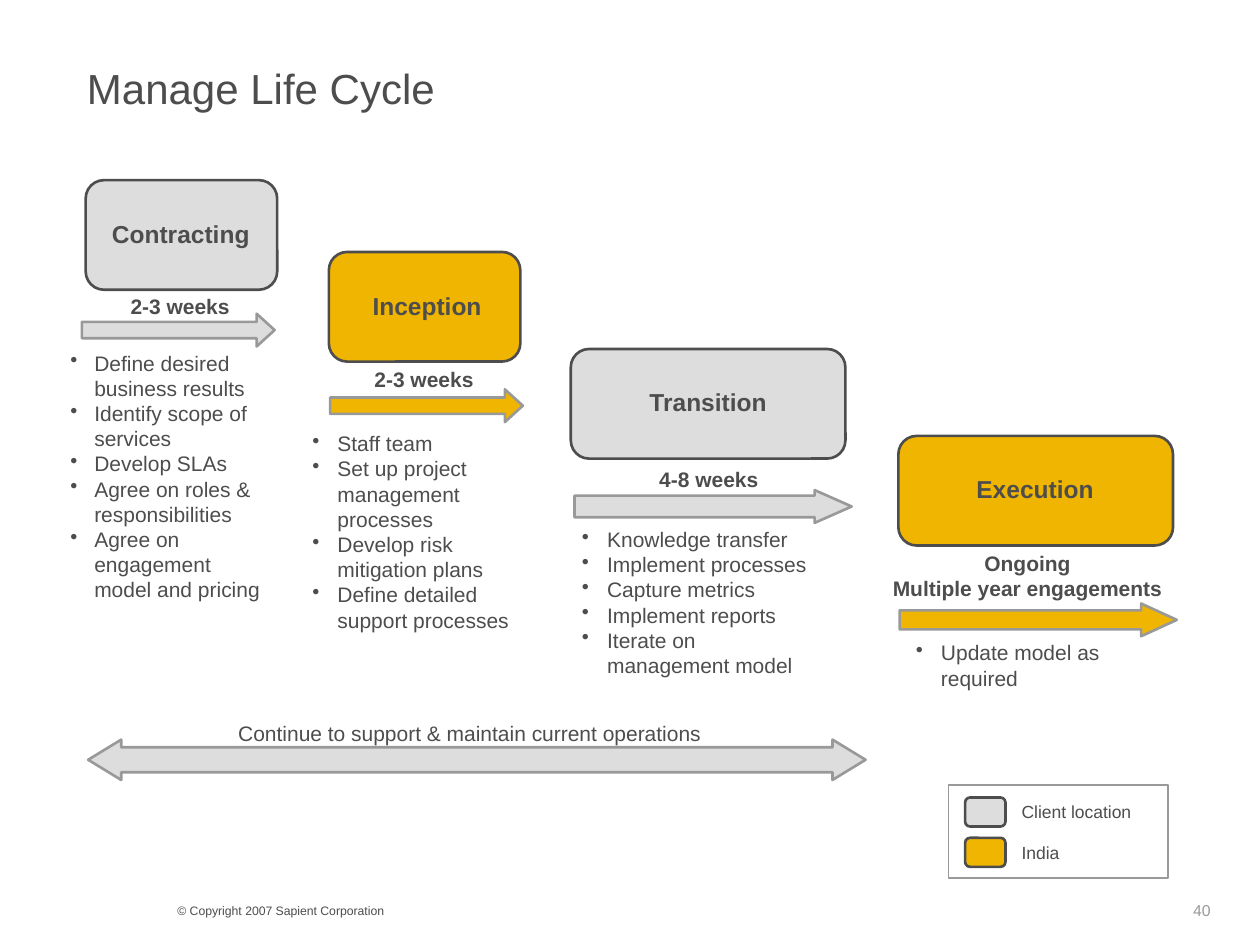
from lxml import etree
from pptx import Presentation
from pptx.dml.color import RGBColor
from pptx.enum.shapes import MSO_SHAPE
from pptx.enum.text import MSO_ANCHOR, MSO_AUTO_SIZE, PP_ALIGN
from pptx.oxml.ns import qn
from pptx.util import Inches, Pt

LEFT, CENTER = PP_ALIGN.LEFT, PP_ALIGN.CENTER
TOP, MIDDLE = MSO_ANCHOR.TOP, MSO_ANCHOR.MIDDLE
FIT_TEXT = MSO_AUTO_SIZE.SHAPE_TO_FIT_TEXT
ROUNDED, RECTANGLE = MSO_SHAPE.ROUNDED_RECTANGLE, MSO_SHAPE.RECTANGLE
RIGHT_ARROW, DOUBLE_ARROW = MSO_SHAPE.RIGHT_ARROW, MSO_SHAPE.LEFT_RIGHT_ARROW

FONT = "Arial"
INK, EDGE = "4D4D4D", "999999"
CLIENT, INDIA = "DDDDDD", "F0B500"
CARD_HEIGHT, ARROW_HEIGHT = 0.87, 0.26
CORNER = 0.167

PHASES = [
    dict(name="Contracting", color=CLIENT, card=(0.68, 1.43, 1.52),
         name_at=(0.74, 1.69, 1.39, 0.34),
         duration=["2-3 weeks"], duration_at=(0.93, 2.28, 1, 0.3),
         arrow=(0.65, 2.49, 1.53), arrow_shape=(0.5, 0.55),
         tasks=["Define desired business results", "Identify scope of services",
                "Develop SLAs", "Agree on roles & responsibilities",
                "Agree on engagement model and pricing"],
         tasks_at=(0.46, 2.73, 1.81, 2.1), indent=0.19),
    dict(name="Inception", color=INDIA, card=(2.61, 2, 1.52),
         name_at=(2.84, 2.26, 1.1, 0.34),
         duration=["2-3 weeks"], duration_at=(2.86, 2.86, 1.01, 0.3),
         arrow=(2.62, 3.09, 1.53), arrow_shape=(0.5, 0.55),
         tasks=["Staff team", "Set up project management processes",
                "Develop risk mitigation plans", "Define detailed support processes"],
         tasks_at=(2.38, 3.37, 2.02, 1.7), indent=0.2),
    dict(name="Transition", color=CLIENT, card=(4.53, 2.77, 2.18),
         name_at=(5.04, 3.02, 1.16, 0.34),
         duration=["4-8 weeks"], duration_at=(5.12, 3.65, 1.01, 0.3),
         arrow=(4.56, 3.89, 2.2), arrow_shape=(0.66, 1.13),
         tasks=["Knowledge transfer", "Implement processes", "Capture metrics",
                "Implement reports", "Iterate on management model"],
         tasks_at=(4.52, 4.13, 2.08, 1.5), indent=0.2),
    dict(name="Execution", color=INDIA, card=(7.13, 3.46, 2.18),
         name_at=(7.64, 3.71, 1.15, 0.34),
         duration=["Ongoing", "Multiple year engagements"],
         duration_at=(6.98, 4.32, 2.35, 0.5),
         arrow=(7.14, 4.79, 2.2), arrow_shape=(0.58, 1.09),
         tasks=["Update model as required"],
         tasks_at=(7.17, 5.03, 2.27, 0.5), indent=0.2),
]
LEGEND = [("Client location", CLIENT, 1.08), ("India", INDIA, 0.51)]
LEGEND_TOP, LEGEND_STEP = 6.33, 0.32


def rgb(color):
    return RGBColor.from_string(color)


def add_bullet(para, indent):
    properties = para._p.get_or_add_pPr()
    properties.set("marL", str(Inches(indent)))
    properties.set("indent", str(-Inches(indent)))
    tint = etree.SubElement(properties, qn("a:buClr"))
    etree.SubElement(tint, qn("a:srgbClr"), val=INK)
    etree.SubElement(properties, qn("a:buChar"), char="•")


def write(box, lines, size=12, color=INK, bold=False, align=LEFT, anchor=TOP,
          wrap=False, inset=(0.1, 0.05, 0.1, 0.05), indent=None):
    frame = box.text_frame
    frame.word_wrap = wrap
    frame.vertical_anchor = anchor
    (frame.margin_left, frame.margin_top,
     frame.margin_right, frame.margin_bottom) = map(Inches, inset)
    for number, line in enumerate(lines):
        para = frame.add_paragraph() if number else frame.paragraphs[0]
        para.alignment = align
        if indent:
            add_bullet(para, indent)
        span = para.add_run()
        span.text = line
        span.font.name, span.font.size = FONT, Pt(size)
        span.font.bold = bold
        span.font.color.rgb = rgb(color)


def add_text(page, place, lines, **style):
    box = page.shapes.add_textbox(*map(Inches, place))
    write(box, lines, **style)
    box.text_frame.auto_size = FIT_TEXT


def add_block(page, kind, place, fill, line, width=1.5, adjust=()):
    block = page.shapes.add_shape(kind, *map(Inches, place))
    block.shadow.inherit = False
    for number, value in enumerate(adjust):
        block.adjustments[number] = value
    if fill:
        block.fill.solid()
        block.fill.fore_color.rgb = rgb(fill)
    else:
        block.fill.background()
    block.line.color.rgb = rgb(line)
    block.line.width = Pt(width)


def add_phase(page, phase):
    add_block(page, ROUNDED, (*phase["card"], CARD_HEIGHT), phase["color"], INK,
              adjust=[CORNER])
    add_text(page, phase["name_at"], [phase["name"]], size=14, bold=True, align=CENTER)
    add_block(page, RIGHT_ARROW, (*phase["arrow"], ARROW_HEIGHT), phase["color"], EDGE,
              adjust=phase["arrow_shape"])
    add_text(page, phase["duration_at"], phase["duration"], bold=True, align=CENTER)
    add_text(page, phase["tasks_at"], phase["tasks"], wrap=True, indent=phase["indent"])


def add_legend(page):
    for row, (label, color, width) in enumerate(LEGEND):
        top = LEGEND_TOP + row * LEGEND_STEP
        add_block(page, ROUNDED, (7.66, top, 0.32, 0.23), color, INK, adjust=[CORNER])
        add_text(page, (8.01, top - 0.02, width, 0.27), [label], size=10)
    add_block(page, RECTANGLE, (7.53, 6.23, 1.74, 0.74), None, EDGE, width=0.75)


def main():
    deck = Presentation()
    deck.slide_width, deck.slide_height = Inches(10), Inches(7.5)
    page = deck.slides.add_slide(deck.slide_layouts[5])

    title = page.shapes.title
    title.left, title.top, title.width, title.height = map(Inches, (0.49, 0.42, 9.01, 0.55))
    write(title, ["Manage Life Cycle"], size=24, anchor=MIDDLE, wrap=True,
          inset=(0.2, 0.05, 0.1, 0.05))

    for phase in PHASES:
        add_phase(page, phase)
    add_text(page, (1.78, 5.67, 3.9, 0.3),
             ["Continue to support & maintain current operations"], align=CENTER)
    add_block(page, DOUBLE_ARROW, (0.7, 5.87, 6.17, 0.32), CLIENT, EDGE,
              adjust=(0.62, 0.82))
    add_legend(page)

    add_text(page, (1.31, 7.12, 4, 0.22), ["© Copyright 2007 Sapient Corporation"],
             size=7, wrap=True)
    add_text(page, (9.38, 7.11, 0.75, 0.24), ["40"], size=9, color=EDGE, wrap=True,
             inset=(0.09, 0.04, 0.09, 0.04))
    deck.save("out.pptx")


if __name__ == "__main__":
    main()
